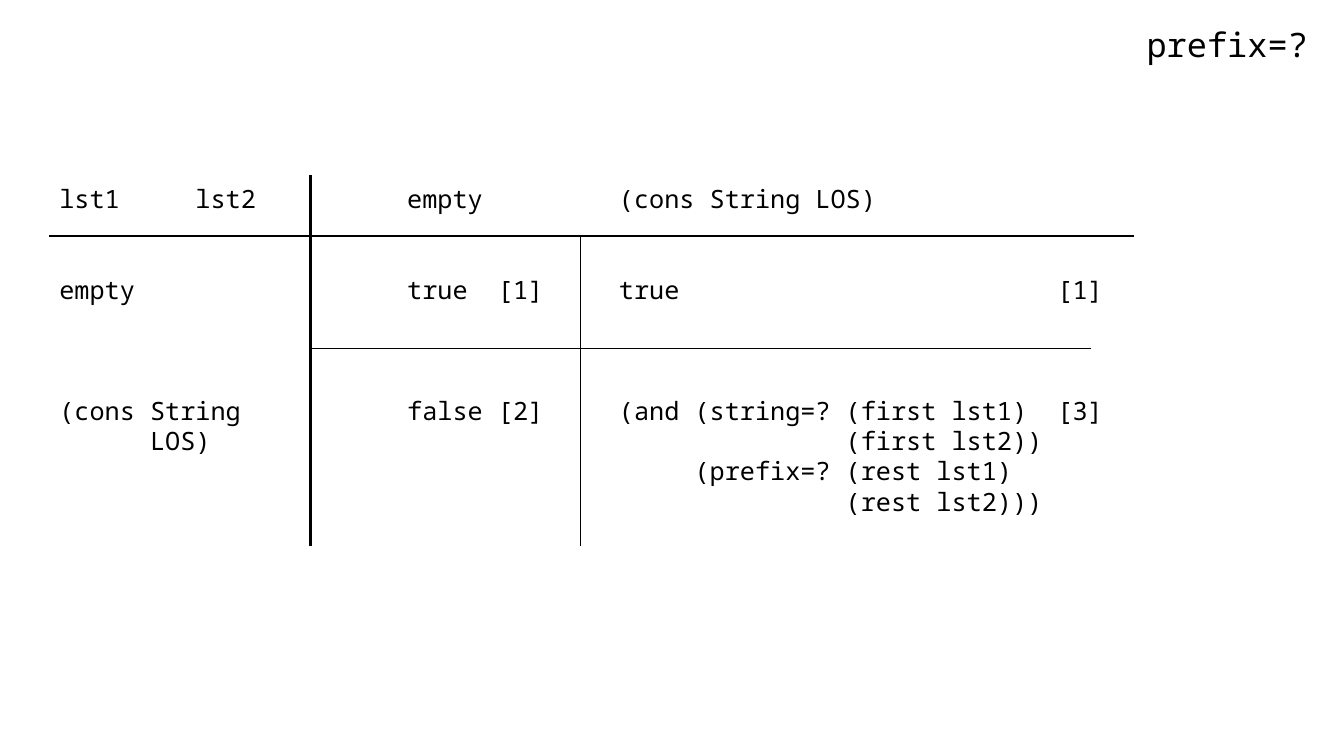
import pptx
import pptx.dml.color
import pptx.enum.shapes
import pptx.enum.text
import pptx.oxml.ns
import pptx.util
from lxml import etree

Inches, Pt = pptx.util.Inches, pptx.util.Pt
ALIGN = pptx.enum.text.PP_ALIGN

# Content: (lines of space above, [(character column, text), ...])
TITLE = [(0, [(0, "prefix=?")])]
CASES = [
    (0, [(0, "lst1"), (9, "lst2"), (23, "empty"), (37, "(cons String LOS)")]),
    (2, [(0, "empty"), (23, "true"), (29, "[1]"), (37, "true"), (66, "[1]")]),
    (3, [(0, "(cons String"), (23, "false"), (29, "[2]"),
         (37, "(and (string=? (first lst1)"), (66, "[3]")]),
    (0, [(6, "LOS)"), (52, "(first lst2))")]),
    (0, [(42, "(prefix=? (rest lst1)")]),
    (0, [(52, "(rest lst2)))")]),
]

# Look and grid
COLORS = {"ink": "000000", "paper": "FFFFFF"}
FONT = "Noto Sans Mono"
CHAR_WIDTH = 0.15   # inches, at 18 pt
LINE_HEIGHT = 21.6  # points, at 18 pt
LEFT, BOTTOM = 0.49, 5.42
HEADER_Y, CASE_Y = 2.34, 3.46
LST1_X, EMPTY_X = 3.08, 5.76

# (start x, start y, end x, end y, width in points)
RULES = [
    (LST1_X, 1.74, LST1_X, BOTTOM, 1.5),
    (11.25, HEADER_Y, LEFT, HEADER_Y, 1.5),
    (10.82, CASE_Y, LST1_X, CASE_Y, 1),
    (EMPTY_X, HEADER_Y, EMPTY_X, BOTTOM, 1),
]


def color(name):
    return pptx.dml.color.RGBColor.from_string(COLORS[name])


def add_text(slide, rows, box, size=18, align=ALIGN.LEFT, top_inset=0.05):
    """Write rows of text, each piece at a tab stop on its column."""
    frame = slide.shapes.add_textbox(*map(Inches, box)).text_frame
    frame.word_wrap = True
    frame.auto_size = pptx.enum.text.MSO_AUTO_SIZE.SHAPE_TO_FIT_TEXT
    frame.margin_top = Inches(top_inset)
    for index, (space, pieces) in enumerate(rows):
        line = frame.add_paragraph() if index else frame.paragraphs[0]
        line.alignment = align
        line.space_before = Pt(space * LINE_HEIGHT)
        run = line.add_run()
        run.text = "".join("\t" * (column > 0) + text for column, text in pieces)
        run.font.name, run.font.size = FONT, Pt(size)
        run.font.color.rgb = color("ink")
        stops = [column for column, _ in pieces if column]
        if stops:
            qn = pptx.oxml.ns.qn
            tabs = etree.SubElement(line._p.get_or_add_pPr(), qn("a:tabLst"))
            for column in stops:
                etree.SubElement(tabs, qn("a:tab"), algn="l",
                                 pos=str(Inches(column * CHAR_WIDTH)))


def add_rule(slide, x1, y1, x2, y2, width):
    rule = slide.shapes.add_connector(
        pptx.enum.shapes.MSO_CONNECTOR.STRAIGHT, *map(Inches, (x1, y1, x2, y2)))
    rule.line.color.rgb = color("ink")
    rule.line.width = Pt(width)
    etree.SubElement(rule._element.spPr, pptx.oxml.ns.qn("a:effectLst"))


def main():
    deck = pptx.Presentation()
    deck.slide_width, deck.slide_height = Inches(13.33), Inches(7.5)
    slide = deck.slides.add_slide(deck.slide_layouts[6])
    slide.background.fill.solid()
    slide.background.fill.fore_color.rgb = color("paper")

    # Case table, with its dividing rules
    add_text(slide, CASES, (LEFT, 1.47, 11.7, 3.74), top_inset=0.35)
    for rule in RULES:
        add_rule(slide, *rule)

    # Function name
    add_text(slide, TITLE, (11.03, 0.19, 2.04, 0.5), size=24, align=ALIGN.RIGHT)
    deck.save("out.pptx")


if __name__ == "__main__":
    main()
